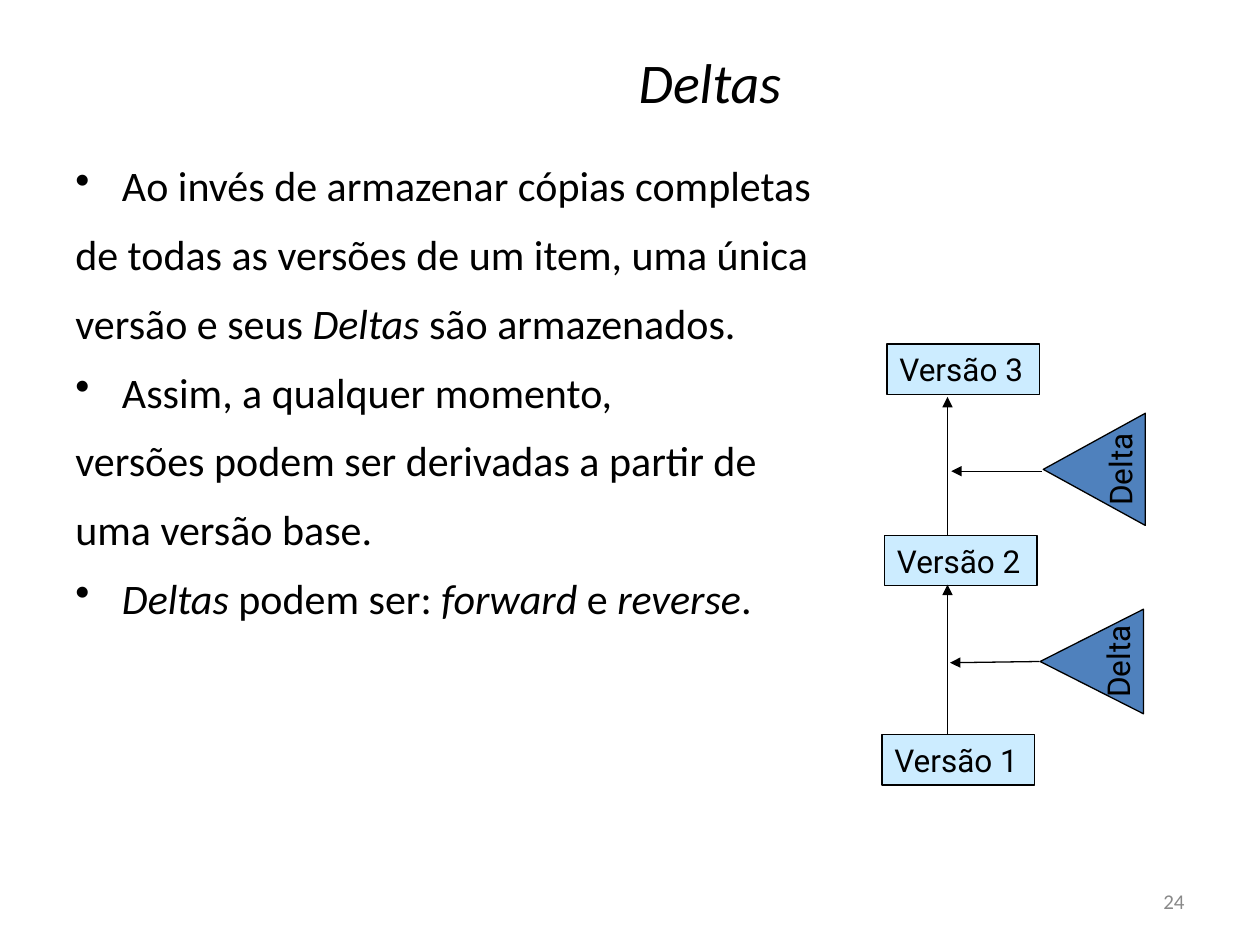
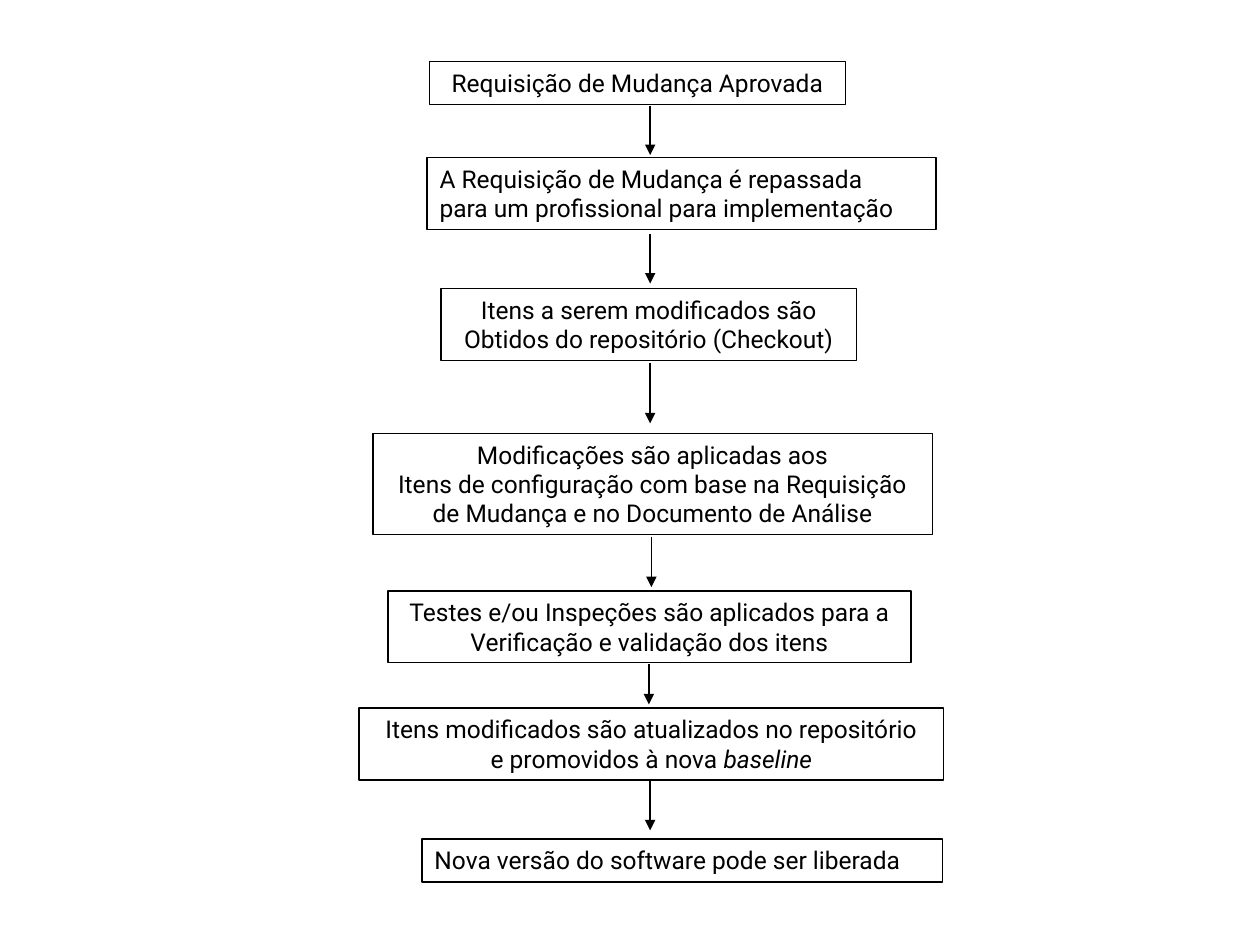
import pptx
import pptx.util
import pptx.dml.color
import pptx.enum.shapes
import pptx.enum.text
import pptx.oxml
import pptx.oxml.ns

# Content: runs are strings; an "_" prefix marks italics
TITLE = "_Deltas"
PAGE_NUMBER = "24"
BODY = [  # (starts with a bullet, runs)
    (True, ["Ao invés de armazenar cópias completas"]),
    (False, ["de todas as versões de um item, uma única"]),
    (False, ["versão e seus ", "_Deltas", " são armazenados."]),
    (True, ["Assim, a qualquer momento,"]),
    (False, ["versões podem ser derivadas a partir de"]),
    (False, ["uma versão base."]),
    (True, ["_Deltas", " podem ser: ", "_forward", " e ", "_reverse", "."]),
]
VERSIONS = [("Versão 1", 700, 583), ("Versão 2", 702, 425), ("Versão 3", 704, 273)]
VERSION_ARROWS = [(752, 583, 752, 464), (752, 425, 752, 315)]
DELTAS = [  # (left, top, width, height) before rotation, arrow ends
    ((824, 332, 89, 81), (827, 374, 755, 374)),
    ((825, 484, 83, 82), (825, 525, 754, 526)),
]
STEPS = [  # (left, top, width, alignment, lines)
    (341, 49, 330, "center", [["Requisição de Mudança Aprovada"]]),
    (339, 125, 404, "left", [["A Requisição de Mudança é repassada"],
                             ["para um profissional para implementação"]]),
    (350, 229, 330, "center", [["Itens a serem modificados são"],
                               ["Obtidos do repositório (Checkout)"]]),
    (296, 344, 444, "center", [["Modificações são aplicadas aos"],
                               ["Itens de configuração com base na Requisição"],
                               ["de Mudança e no Documento de Análise"]]),
    (308, 469, 415, "center", [["Testes e/ou Inspeções são aplicados para a"],
                               ["Verificação e validação dos itens"]]),
    (285, 562, 464, "center", [["Itens modificados são atualizados no repositório"],
                               ["e promovidos à nova ", "_baseline"]]),
    (335, 666, 413, "left", [["Nova versão do software pode ser liberada"]]),
]
STEP_ARROWS = [  # (x, from y, to y)
    (516, 84, 123), (516, 186, 225), (516, 288, 336),
    (517, 426, 466), (515, 527, 559), (516, 619, 659),
]

# Shared style
COLORS = {"text": "000000", "line": "000000", "number": "898989",
          "version": "CCECFF", "delta": "4F81BD"}
TEXT_FONT, DIAGRAM_FONT = "Calibri", "Roboto"
ALIGN = {"left": pptx.enum.text.PP_ALIGN.LEFT,
         "center": pptx.enum.text.PP_ALIGN.CENTER,
         "right": pptx.enum.text.PP_ALIGN.RIGHT}
MIDDLE = pptx.enum.text.MSO_ANCHOR.MIDDLE
TOP = pptx.enum.text.MSO_ANCHOR.TOP
SHAPES = pptx.enum.shapes.MSO_SHAPE
LINE_WIDTH = pptx.util.Pt(0.75)
VERSION_SIZE = (121, 40)
STEP_PADDING, STEP_LINE = 11, 23
BULLET_INDENT = 37


def px(*lengths):
    """Turn px, 100 to the inch, into EMU."""
    return [pptx.util.Emu(length * 9144) for length in lengths]


def color(name):
    return pptx.dml.color.RGBColor.from_string(COLORS[name])


def add_element(parent, tag, **attributes):
    element = pptx.oxml.parse_xml(f"<a:{tag} {pptx.oxml.ns.nsdecls('a')}/>")
    for name, value in attributes.items():
        element.set(name, str(value))
    parent.append(element)


def write(box, lines, size, font, align="left", anchor=TOP, ink="text", wrap=True):
    frame = box.text_frame
    frame.word_wrap = wrap
    frame.vertical_anchor = anchor
    for index, runs in enumerate(lines):
        para = frame.paragraphs[0] if index == 0 else frame.add_paragraph()
        para.alignment = ALIGN[align]
        for text in runs:
            span = para.add_run()
            span.text = text.removeprefix("_")
            if text.startswith("_"):
                span.font.italic = True
        para.font.size = pptx.util.Pt(size)
        para.font.name = font
        para.font.color.rgb = color(ink)
        # Runs in shapes keep the theme colour unless set themselves
        for span in para.runs:
            span.font.size = para.font.size
            span.font.name = font
            span.font.color.rgb = color(ink)


def add_text(page, bounds, lines, size, **style):
    box = page.shapes.add_textbox(*px(*bounds))
    write(box, lines, size, TEXT_FONT, **style)
    return box


def add_block(page, kind, bounds, lines, size, fill=None, **style):
    block = page.shapes.add_shape(kind, *px(*bounds))
    block.shadow.inherit = False
    if fill:
        block.fill.solid()
        block.fill.fore_color.rgb = color(fill)
    else:
        block.fill.background()
    block.line.color.rgb = color("line")
    block.line.width = LINE_WIDTH
    write(block, lines, size, DIAGRAM_FONT, **style)
    return block


def add_arrow(page, *ends):
    arrow = page.shapes.add_connector(pptx.enum.shapes.MSO_CONNECTOR.STRAIGHT, *px(*ends))
    arrow.line.color.rgb = color("line")
    arrow.line.width = LINE_WIDTH
    add_element(arrow.line._get_or_add_ln(), "tailEnd", type="triangle")
    add_element(arrow._element.spPr, "effectLst")


def add_body(page):
    box = add_text(page, (50, 122, 900, 568), [runs for _, runs in BODY], 24)
    indent = px(BULLET_INDENT)[0]
    for index, (para, (bulleted, _)) in enumerate(zip(box.text_frame.paragraphs, BODY)):
        if index:
            para.space_before = pptx.util.Pt(10.5)
        properties = para._p.get_or_add_pPr()
        properties.set("marL", str(indent))
        properties.set("indent", str(-indent))
        if bulleted:
            bullet = pptx.oxml.parse_xml(
                f'<a:buChar {pptx.oxml.ns.nsdecls("a")} char="•"/>')
            properties.find(pptx.oxml.ns.qn("a:defRPr")).addprevious(bullet)


def build_deltas(page):
    add_text(page, (177, 13, 773, 103), [[TITLE]], 32, align="center", anchor=MIDDLE)
    add_body(page)
    add_text(page, (717, 695, 233, 40), [[PAGE_NUMBER]], 12,
             align="right", anchor=MIDDLE, ink="number")
    # Version chain
    for label, left, top in VERSIONS:
        add_block(page, SHAPES.RECTANGLE, (left, top, *VERSION_SIZE), [[label]], 18,
                  fill="version")
    for ends in VERSION_ARROWS:
        add_arrow(page, *ends)
    # Deltas pointing at the chain
    for bounds, ends in DELTAS:
        triangle = add_block(page, SHAPES.FLOWCHART_EXTRACT, bounds, [["Delta"]], 18,
                             fill="delta", align="center", anchor=MIDDLE, wrap=False)
        triangle.rotation = 270
        add_arrow(page, *ends)


def build_change_flow(page):
    for left, top, width, align, lines in STEPS:
        height = STEP_PADDING + STEP_LINE * len(lines)
        add_block(page, SHAPES.RECTANGLE, (left, top, width, height), lines, 14, align=align)
    for x, start, end in STEP_ARROWS:
        add_arrow(page, x, start, x, end)


def main():
    deck = pptx.Presentation()
    deck.slide_width, deck.slide_height = px(1000, 750)
    for build in (build_deltas, build_change_flow):
        build(deck.slides.add_slide(deck.slide_layouts[6]))
    deck.save("out.pptx")


if __name__ == "__main__":
    main()
